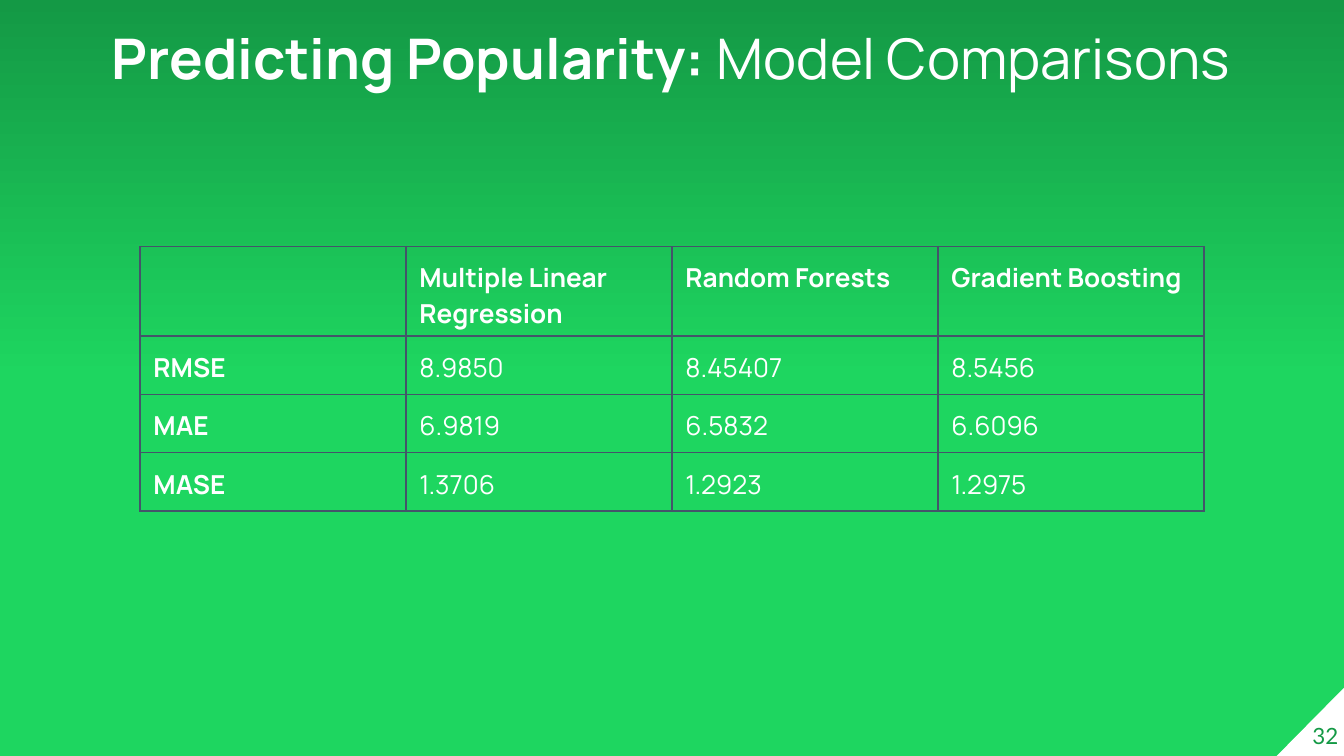
from dataclasses import dataclass

from lxml import etree
from pptx import Presentation
from pptx import util as u
from pptx.dml import color
from pptx.enum import shapes, text
from pptx.oxml import ns


@dataclass(frozen=True)
class Theme:
    white: str = "FFFFFF"
    bright: str = "1ED660"
    deep: str = "149945"
    rule: str = "44546A"
    heading_font: str = "Manrope"
    number_font: str = "Lato"
    title_size: int = 30
    table_size: int = 14
    number_size: int = 12
    rule_width: float = 0.75


def rgb(value):
    return color.RGBColor.from_string(value)


def apply(target, values):
    for name, value in values.items():
        setattr(target, name, value)


class SlideBuilder:
    def __init__(self, slide, theme):
        self.slide = slide
        self.theme = theme

    def background(self):
        fill = self.slide.background.fill
        fill.gradient()
        fill.gradient_angle = 90
        stops = ((0.5, self.theme.bright), (1, self.theme.deep))
        for stop, (position, shade) in zip(fill.gradient_stops, stops):
            stop.position = position
            stop.color.rgb = rgb(shade)

    def corner(self, *box):
        corner = self.slide.shapes.add_shape(
            shapes.MSO_SHAPE.RIGHT_TRIANGLE, *map(u.Pt, box))
        corner.shadow.inherit = False
        corner.fill.solid()
        corner.fill.fore_color.rgb = rgb(self.theme.white)
        corner.line.fill.background()
        corner._element.spPr.xfrm.set("flipH", "1")

    def add_words(self, paragraph, words, font, size, shade, bold=False):
        run = paragraph.add_run()
        run.text = words
        apply(run.font, {"name": font, "size": u.Pt(size), "bold": bold})
        run.font.color.rgb = rgb(shade)

    def label(self, box, runs, font, size, shade, paragraph_format):
        frame = self.slide.shapes.add_textbox(*map(u.Pt, box)).text_frame
        apply(frame, {
            "word_wrap": True,
            "vertical_anchor": text.MSO_ANCHOR.BOTTOM,
            "margin_left": 0, "margin_right": 0,
            "margin_top": 0, "margin_bottom": 0,
        })
        paragraph = frame.paragraphs[0]
        apply(paragraph, paragraph_format)
        for words, bold in runs:
            self.add_words(paragraph, words, font, size, shade, bold)

    def borders(self, cell):
        properties = cell._tc.get_or_add_tcPr()
        for index, side in enumerate(("lnL", "lnR", "lnT", "lnB")):
            line = etree.Element(
                ns.qn(f"a:{side}"), w=str(u.Pt(self.theme.rule_width)))
            fill = etree.SubElement(line, ns.qn("a:solidFill"))
            etree.SubElement(fill, ns.qn("a:srgbClr"), val=self.theme.rule)
            properties.insert(index, line)

    def table(self, box, rows, row_height):
        theme = self.theme
        holder = self.slide.shapes.add_table(
            len(rows), len(rows[0]), *map(u.Pt, box))
        grid = holder.table
        apply(grid, {"first_row": False, "horz_banding": False})
        for row in grid.rows:
            row.height = u.Pt(row_height)
        holder.height = u.Pt(box[3])
        inset = u.Pt(7.2)
        for r, row in enumerate(rows):
            for c, words in enumerate(row):
                cell = grid.cell(r, c)
                apply(cell, {"margin_left": inset, "margin_right": inset,
                             "margin_top": inset, "margin_bottom": inset})
                cell.fill.background()
                self.borders(cell)
                if words:
                    self.add_words(cell.text_frame.paragraphs[0], words,
                                   theme.heading_font, theme.table_size,
                                   theme.white, bold=r == 0 or c == 0)


def main():
    theme = Theme()
    deck = Presentation()
    apply(deck, {"slide_width": u.Pt(720), "slide_height": u.Pt(405)})
    builder = SlideBuilder(deck.slides.add_slide(deck.slide_layouts[6]), theme)

    builder.background()
    builder.corner(684, 368, 36.5, 37)
    builder.label((681, 365, 36, 36.5), [("32", False)],
                  theme.number_font, theme.number_size, theme.deep,
                  {"alignment": text.PP_ALIGN.RIGHT})
    builder.label((3.6, 9.4, 712, 39),
                  [("Predicting Popularity:", True),
                   (" Model Comparisons", False)],
                  theme.heading_font, theme.title_size, theme.white,
                  {"alignment": text.PP_ALIGN.CENTER, "line_spacing": 0.8})
    scores = [
        ("", "Multiple Linear Regression", "Random Forests",
         "Gradient Boosting"),
        ("RMSE", "8.9850", "8.45407", "8.5456"),
        ("MAE", "6.9819", "6.5832", "6.6096"),
        ("MASE", "1.3706", "1.2923", "1.2975"),
    ]
    builder.table((75, 132, 570, 142), scores, row_height=30)

    deck.save("out.pptx")


if __name__ == "__main__":
    main()
